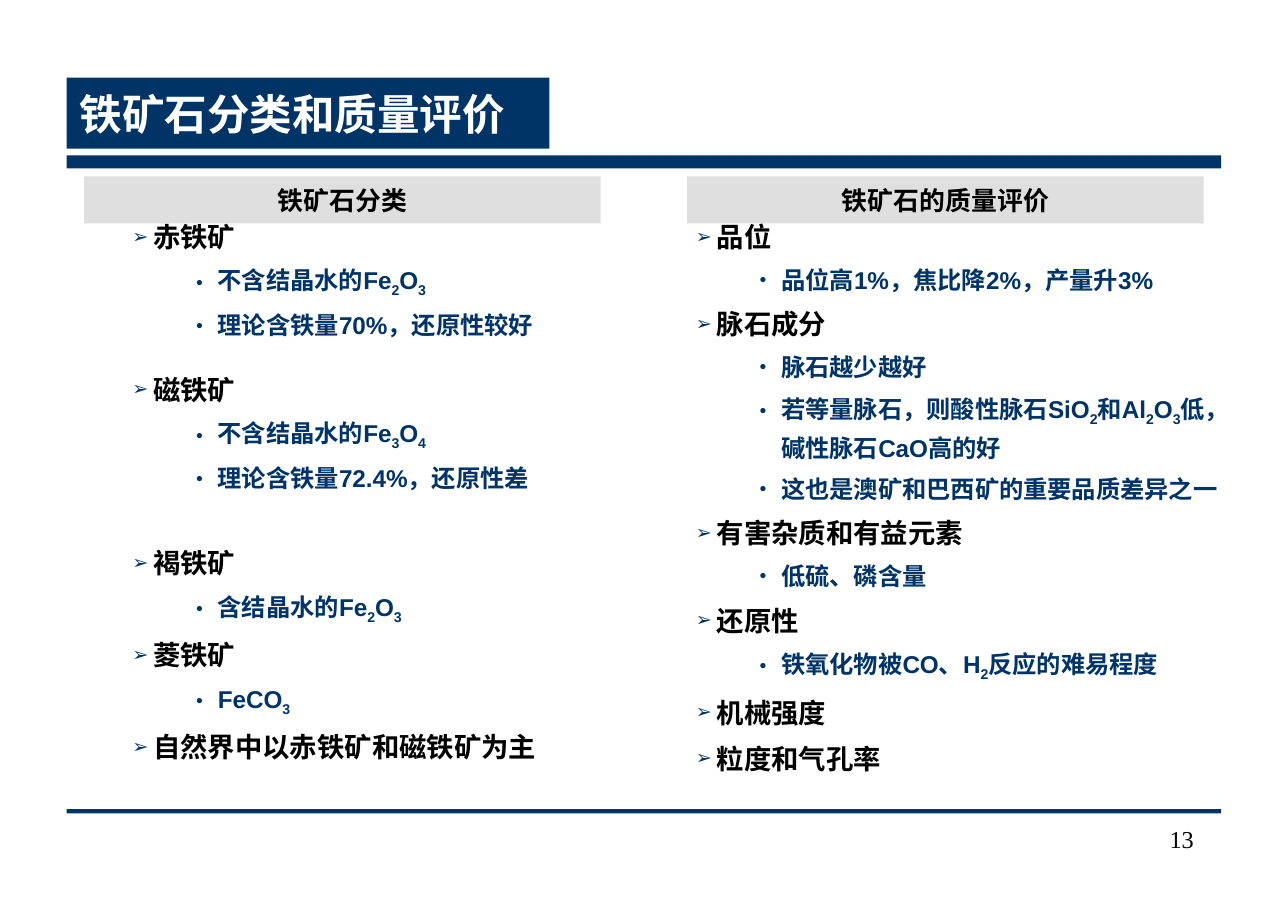
from dataclasses import dataclass

from lxml.etree import SubElement
from pptx import Presentation
from pptx.dml.color import RGBColor
from pptx.enum.shapes import MSO_SHAPE as Preset
from pptx.enum.text import MSO_ANCHOR as Anchor, PP_ALIGN as Align
from pptx.oxml.ns import qn
from pptx.util import Cm, Inches, Pt


@dataclass(frozen=True)
class Theme:
    navy: str = "003366"
    grey: str = "DFDFDF"
    white: str = "FFFFFF"
    black: str = "000000"
    sans: str = "Arial"
    serif: str = "Times New Roman"
    title: int = 28
    heading: int = 17
    number: int = 16


@dataclass(frozen=True)
class Level:
    size: int
    color: str
    bullet: str
    bullet_percent: int
    indent: float
    hanging: float
    before: float


@dataclass(frozen=True)
class Box:
    """A region in percent of the slide's width and height."""
    left: float
    top: float
    width: float
    height: float

    def place(self):
        return (Cm(WIDTH * self.left / 100), Cm(HEIGHT * self.top / 100),
                Cm(WIDTH * self.width / 100), Cm(HEIGHT * self.height / 100))


WIDTH, HEIGHT = 29.9, 21.2
THEME = Theme()
TOPIC = Level(18, THEME.black, "➢", 70, 0.78, 0.19, 4.5)
DETAIL = Level(16, THEME.navy, "●", 50, 1.37, 0.2, 4)
HEAD_WIDTH, HEAD_HEIGHT, LIST_DROP = 40.1, 5.15, 3.35

# Each entry: level, text with subscripts between underscores, extra space before
ORE_TYPES = [
    (TOPIC, "赤铁矿", 0),
    (DETAIL, "不含结晶水的Fe_2_O_3_", 0),
    (DETAIL, "理论含铁量70%，还原性较好", 0),
    (TOPIC, "磁铁矿", 13),
    (DETAIL, "不含结晶水的Fe_3_O_4_", 0),
    (DETAIL, "理论含铁量72.4%，还原性差", 0),
    (TOPIC, "褐铁矿", 26.5),
    (DETAIL, "含结晶水的Fe_2_O_3_", 0),
    (TOPIC, "菱铁矿", 0),
    (DETAIL, "FeCO_3_", 0),
    (TOPIC, "自然界中以赤铁矿和磁铁矿为主", 0),
]
QUALITY = [
    (TOPIC, "品位", 0),
    (DETAIL, "品位高1%，焦比降2%，产量升3%", 0),
    (TOPIC, "脉石成分", 0),
    (DETAIL, "脉石越少越好", 0),
    (DETAIL, "若等量脉石，则酸性脉石SiO_2_和Al_2_O_3_低，碱性脉石CaO高的好", 0),
    (DETAIL, "这也是澳矿和巴西矿的重要品质差异之一", 0),
    (TOPIC, "有害杂质和有益元素", 0),
    (DETAIL, "低硫、磷含量", 0),
    (TOPIC, "还原性", 0),
    (DETAIL, "铁氧化物被CO、H_2_反应的难易程度", 0),
    (TOPIC, "机械强度", 0),
    (TOPIC, "粒度和气孔率", 0),
]


def style(span, font, size, color, bold=True):
    """Formats a run; its Chinese text always takes the sans face."""
    span.font.name = font
    span.font.size = Pt(size)
    span.font.bold = bold
    span.font.color.rgb = RGBColor.from_string(color)
    SubElement(span.font._element, qn("a:ea"), typeface=THEME.sans)


def set_frame(frame, anchor=Anchor.TOP):
    frame.word_wrap = True
    frame.vertical_anchor = anchor
    frame.margin_left = frame.margin_right = Inches(0.12)
    frame.margin_top = frame.margin_bottom = Inches(0.06)


def add_block(page, box, fill):
    block = page.shapes.add_shape(Preset.RECTANGLE, *box.place())
    block.shadow.inherit = False
    block.fill.solid()
    block.fill.fore_color.rgb = RGBColor.from_string(fill)
    block.line.fill.background()
    return block


def add_label(shape, text, font, size, color, align, bold=True, anchor=Anchor.MIDDLE):
    set_frame(shape.text_frame, anchor)
    shape.text_frame.text = text
    para = shape.text_frame.paragraphs[0]
    para.alignment = align
    style(para.runs[0], font, size, color, bold)


def set_bullet(para, level):
    props = para._p.get_or_add_pPr()
    props.set("marL", str(Inches(level.indent)))
    props.set("indent", str(-Inches(level.hanging)))
    color = SubElement(props, qn("a:buClr"))
    SubElement(color, qn("a:srgbClr"), val=THEME.navy)
    SubElement(props, qn("a:buSzPct"), val=str(level.bullet_percent * 1000))
    SubElement(props, qn("a:buFont"), typeface=THEME.sans)
    SubElement(props, qn("a:buChar"), char=level.bullet)


def add_list(page, box, entries):
    frame = page.shapes.add_textbox(*box.place()).text_frame
    set_frame(frame)
    for index, (level, text, extra) in enumerate(entries):
        para = frame.add_paragraph() if index else frame.paragraphs[0]
        set_bullet(para, level)
        para.line_spacing = 1.2
        para.space_before = Pt(level.before + extra if index else 0)
        for part, words in enumerate(text.split("_")):
            if words:
                span = para.add_run()
                span.text = words
                style(span, THEME.sans, level.size, level.color)
                if part % 2:
                    span.font._element.set("baseline", "-25000")


def add_panel(page, box, head_inset, heading, entries):
    """A bulleted list whose grey heading starts head_inset in from the left."""
    add_list(page, Box(box.left, box.top + LIST_DROP, box.width,
                       box.height - LIST_DROP), entries)
    head = add_block(page, Box(box.left + head_inset, box.top, HEAD_WIDTH,
                               HEAD_HEIGHT), THEME.grey)
    add_label(head, heading, THEME.serif, THEME.heading, THEME.black, Align.CENTER)


def add_header(page, box, title):
    add_block(page, Box(box.left, box.top + 8.51, box.width, 1.44), THEME.navy)
    banner = add_block(page, Box(box.left, box.top, 37.47, 7.78), THEME.navy)
    add_label(banner, title, THEME.sans, THEME.title, THEME.white, Align.LEFT)


def add_footer(page, box, number):
    add_block(page, Box(box.left, box.top, box.width, 0.48), THEME.navy)
    corner = Box(box.left + 80.97, box.top + 0.96, 7.56, 6.95)
    label = page.shapes.add_textbox(*corner.place())
    add_label(label, number, THEME.serif, THEME.number, THEME.black, Align.RIGHT,
              bold=False, anchor=Anchor.TOP)


def main():
    deck = Presentation()
    deck.slide_width = Cm(WIDTH)
    deck.slide_height = Cm(HEIGHT)
    page = deck.slides.add_slide(deck.slide_layouts[6])
    add_header(page, Box(5.18, 8.5, 89.63, 9.95), "铁矿石分类和质量评价")
    add_panel(page, Box(4.25, 19.32, 44.1, 68.5), 2.29, "铁矿石分类", ORE_TYPES)
    add_panel(page, Box(48, 19.32, 47.9, 68.5), 5.36, "铁矿石的质量评价", QUALITY)
    add_footer(page, Box(5.18, 88.62, 89.63, 7.91), "13")
    deck.save("out.pptx")


if __name__ == "__main__":
    main()
